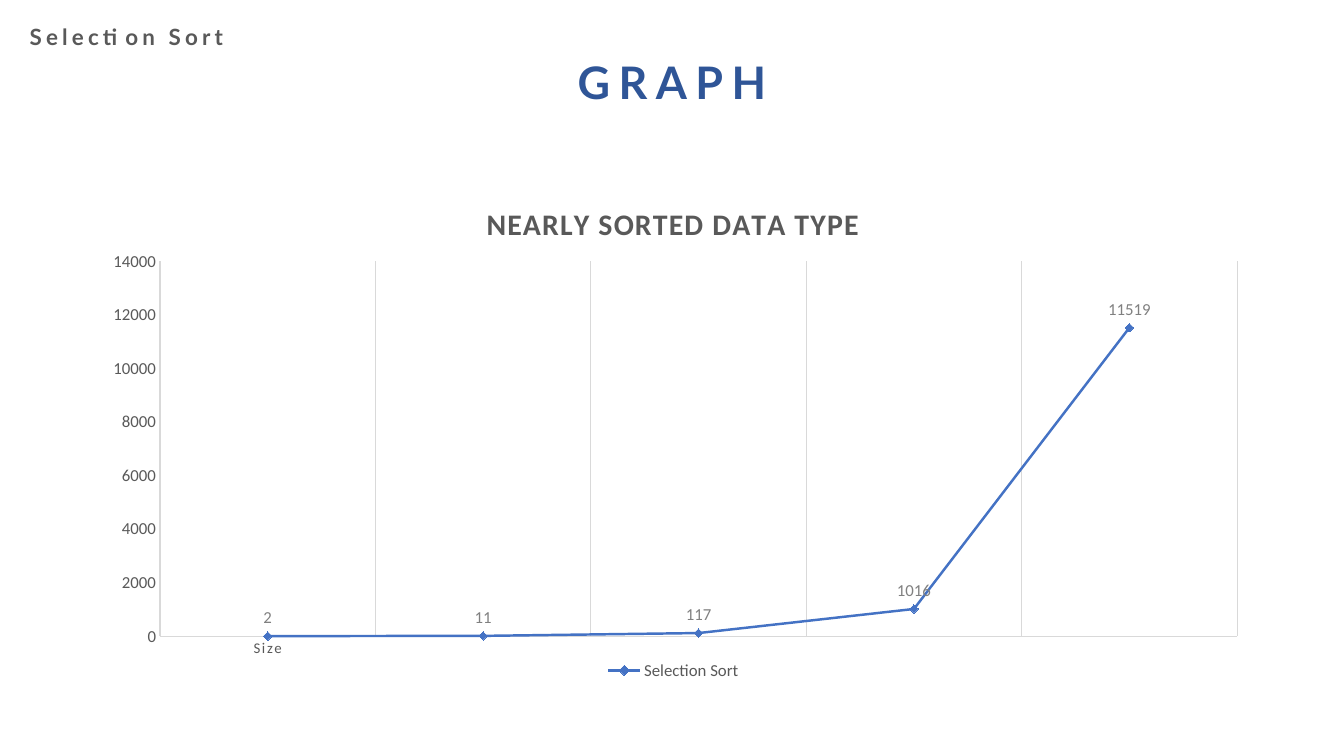
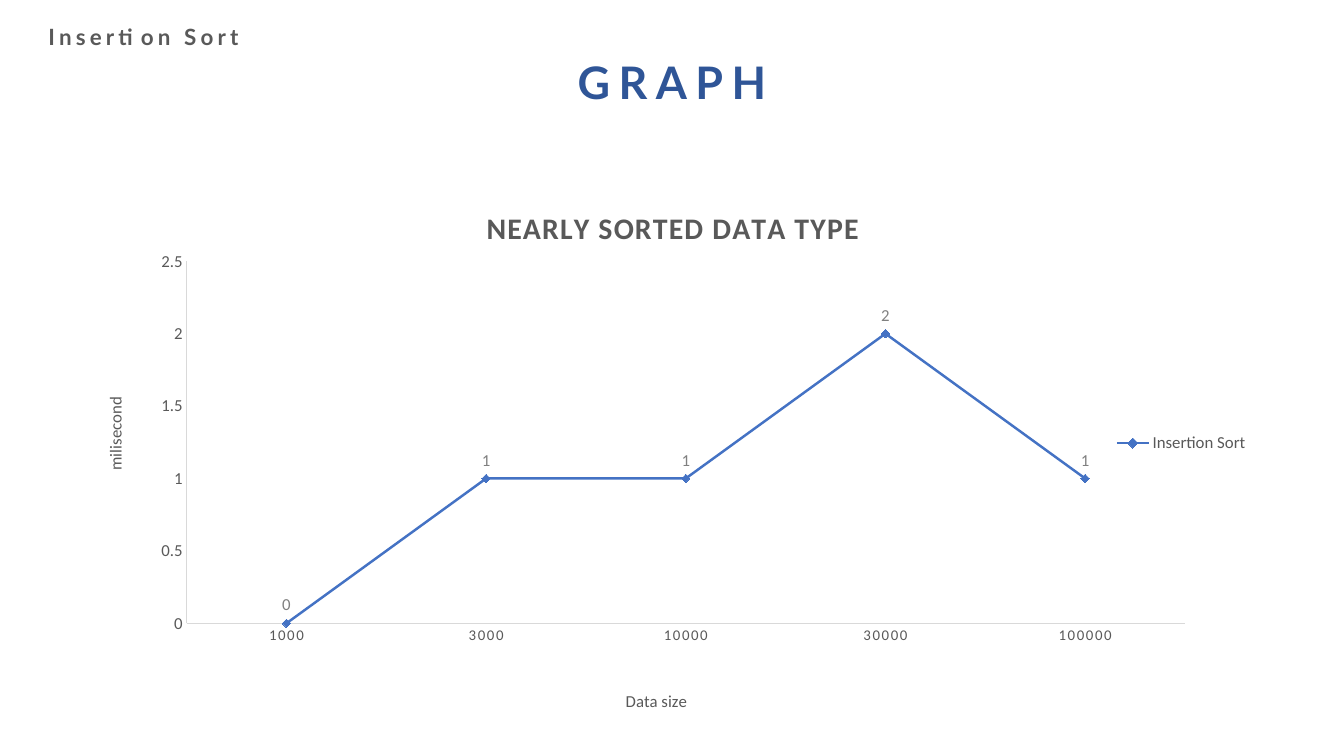
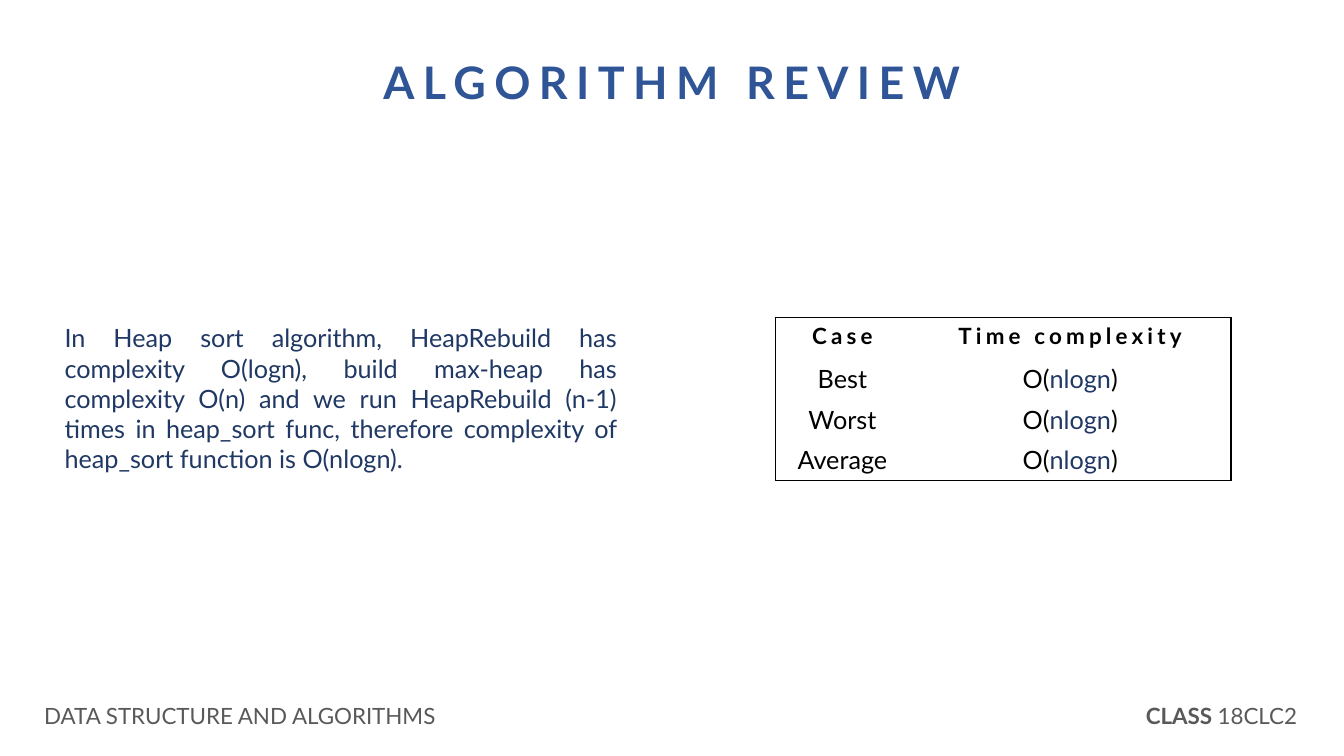
from lxml.etree import SubElement
from pptx import Presentation
from pptx.chart.data import CategoryChartData
from pptx.dml.color import RGBColor
from pptx.enum.chart import (XL_CHART_TYPE, XL_LABEL_POSITION, XL_LEGEND_POSITION,
                             XL_MARKER_STYLE, XL_TICK_MARK)
from pptx.enum.text import MSO_ANCHOR, MSO_AUTO_SIZE, PP_ALIGN
from pptx.oxml.ns import qn
from pptx.util import Inches, Pt

# Theme: colours, fonts and type sizes
THEME = dict(
    blue="2F5597", navy="203864", grey="595959", black="000000",
    mark="4472C4", rule="D9D9D9", label="808080",
    font="Lato", plain="Calibri",
    title=32, text=18, small=16, head=21.3, axis=12, tick=10.6)
WIDE, HIGH = 13.33, 7.5
PLAIN_TABLE = "{2D5ABB26-0587-4C30-8999-92F81FD0307C}"

# Content
GRAPHS = [
    dict(name="Selection Sort", left=0.16, cats=["Size", "", "", "", ""],
         vals=[2, 11, 117, 1016, 11519], top=14000, step=2000, high=5.11, grid=True,
         plot=(0.058, 0.163, 0.929, 0.728), head=(0.335, 0.04),
         side=XL_LEGEND_POSITION.BOTTOM, key=(0.44, 0.93), names=None),
    dict(name="Insertion Sort", left=0.33,
         cats=["1000", "3000", "10000", "30000", "100000"],
         vals=[0, 1, 1, 2, 1], top=2.5, step=0.5, high=5.37, grid=False,
         plot=(0.081, 0.155, 0.861, 0.669), head=(0.335, 0.045),
         side=XL_LEGEND_POSITION.RIGHT, key=(0.88, 0.465),
         names=[("Data size", (0.457, 0.94), 0), ("milisecond", (0.007, 0.4), -90)]),
]
REVIEW = ("In Heap sort algorithm, HeapRebuild has complexity O(logn), build max-heap "
          "has complexity O(n) and we run HeapRebuild (n-1) times in heap_sort func, "
          "therefore complexity of heap_sort function is O(nlogn).")
COST = ["O(", ("nlogn", dict(color="navy")), ")"]
ROWS = [["Case", "Time complexity"], ["Best", COST], ["Worst", COST], ["Average", COST]]
COLS = [1.33, 3.19]
FOOT = [((0, 4.76), ["DATA STRUCTURE AND ALGORITHMS"]),
        ((10.9, 2.43), [("CLASS ", dict(bold=True)), "18CLC2"])]


def tint(name):
    return RGBColor.from_string(THEME[name])


def style(font, size="small", color="grey", face="font", bold=False, gap=0):
    font.size, font.name, font.bold = Pt(THEME[size]), THEME[face], bold
    font.color.rgb = tint(color)
    if gap:
        font._rPr.set("spc", str(int(gap * 100)))


def write(frame, runs, align=PP_ALIGN.CENTER, after=0, **fmt):
    """Fill the first paragraph with runs: plain text or (text, changes)."""
    para = frame.paragraphs[0]
    para.alignment = align
    para.space_before, para.space_after = Pt(0), Pt(after)
    for part in [runs] if isinstance(runs, str) else runs:
        text, more = (part, {}) if isinstance(part, str) else part
        run = para.add_run()
        run.text = text
        style(run.font, **{**fmt, **more})
    return para


def move(shape, *box):
    shape.left, shape.top, shape.width, shape.height = map(Inches, box)
    frame = shape.text_frame
    frame.word_wrap, frame.auto_size = True, MSO_AUTO_SIZE.NONE
    frame.vertical_anchor = MSO_ANCHOR.TOP
    return frame


def box(slide, *place):
    return move(slide.shapes.add_textbox(0, 0, 0, 0), *place)


def start(deck, kind, title, wide):
    slide = deck.slides.add_slide(deck.slide_layouts.get_by_name(kind))
    frame = move(slide.shapes.title, (WIDE - wide) / 2, 0.49, wide, 0.64)
    write(frame, title, size="title", color="blue", bold=True, gap=6)
    return slide


# Charts
def place(part, spot, index=1):
    """Give a chart part a fixed position, as shares of the chart."""
    for old in part.findall(qn("c:layout")):
        part.remove(old)
    lay = SubElement(part, qn("c:layout"))
    part.insert(index, lay)
    hand = SubElement(lay, qn("c:manualLayout"))
    items = [("xMode", "edge"), ("yMode", "edge"), *zip("xywh", spot)]
    if len(spot) == 4:
        items.insert(0, ("layoutTarget", "inner"))
    for tag, val in items:
        SubElement(hand, qn("c:" + tag)).set("val", str(val))


def label(title, text, spot, turn=0, **fmt):
    frame = title.text_frame
    write(frame, text, face="plain", **fmt)
    frame._txBody.bodyPr.set("rot", str(turn * 60000))
    place(title._element, spot)


def line(form, color, width):
    form.line.color.rgb = tint(color)
    form.line.width = Pt(width)


def graph(slide, item):
    data = CategoryChartData()
    data.categories = item["cats"]
    data.add_series(item["name"], item["vals"])
    chart = slide.shapes.add_chart(
        XL_CHART_TYPE.LINE_MARKERS, Inches(0.92), Inches(1.76),
        Inches(11.5), Inches(item["high"]), data).chart
    style(chart.font, size="axis", face="plain")
    chart.has_title = True
    label(chart.chart_title, "NEARLY SORTED DATA TYPE", item["head"],
          size="head", bold=True, gap=1)

    chart.has_legend = True
    key = chart.legend
    key.position, key.include_in_layout = item["side"], False
    style(key.font, size="axis", face="plain")
    place(key._element, item["key"])
    place(chart._chartSpace.chart.plotArea, item["plot"], 0)

    # Axes
    cat, val = chart.category_axis, chart.value_axis
    for axis, size, gap in [(cat, "tick", 1.2), (val, "axis", 0)]:
        axis.major_tick_mark = axis.minor_tick_mark = XL_TICK_MARK.NONE
        axis.has_major_gridlines = False
        style(axis.tick_labels.font, size=size, face="plain", gap=gap)
        line(axis.format, "rule", 0.75)
    val.minimum_scale, val.maximum_scale, val.major_unit = 0, item["top"], item["step"]
    if item["grid"]:
        cat.has_major_gridlines = True
        line(cat.major_gridlines.format, "rule", 0.75)
    for axis, name in zip((cat, val), item["names"] or []):
        label(axis.axis_title, *name, size="axis")

    # Series
    plot = chart.plots[0]
    plot.vary_by_categories = False
    row = plot.series[0]
    row.smooth = False
    line(row.format, "mark", 1.75)
    row.marker.style, row.marker.size = XL_MARKER_STYLE.DIAMOND, 6
    row.marker.format.fill.solid()
    row.marker.format.fill.fore_color.rgb = tint("mark")
    line(row.marker.format, "mark", 0.75)
    tags = row.data_labels
    tags.show_value, tags.position = True, XL_LABEL_POSITION.ABOVE
    style(tags.font, size="axis", color="label", face="plain")


# Table
def edge(cell, side):
    rim = SubElement(cell._tc.get_or_add_tcPr(), qn("a:ln" + side), w=str(Pt(1)))
    fill = SubElement(rim, qn("a:solidFill"))
    SubElement(fill, qn("a:srgbClr"), val=THEME["black"])


def grid(slide):
    rows, cols = len(ROWS), len(COLS)
    table = slide.shapes.add_table(rows, cols, Inches(7.69), Inches(3.15),
                                   Inches(sum(COLS)), Inches(1.62)).table
    table._tbl.tblPr.find(qn("a:tableStyleId")).text = PLAIN_TABLE
    table.first_row = table.horz_banding = False
    for col, wide in zip(table.columns, COLS):
        col.width = Inches(wide)
    for r, row in enumerate(ROWS):
        head = dict(bold=True, gap=3) if r == 0 else dict(size="text")
        for c, text in enumerate(row):
            cell = table.cell(r, c)
            write(cell.text_frame, text, color="black", **head)
            rims = dict(L=c == 0, R=c == cols - 1, T=r == 0, B=r == rows - 1)
            for side, outer in rims.items():
                if outer:
                    edge(cell, side)
            cell.fill.background()


def main():
    deck = Presentation()
    deck.slide_width, deck.slide_height = Inches(WIDE), Inches(HIGH)

    # Graph slides
    for item in GRAPHS:
        slide = start(deck, "Title Only", "GRAPH", 2.66)
        graph(slide, item)
        write(box(slide, item["left"], 0.18, 2.19, 0.37), item["name"],
              after=6, bold=True, gap=3)

    # Review slide
    slide = start(deck, "Title and Content", "ALGORITHM REVIEW", 6.89)
    frame = move(slide.placeholders[1], 0.54, 3.15, 5.68, 1.92)
    para = write(frame, REVIEW, align=PP_ALIGN.JUSTIFY, size="text", color="navy")
    props = para._p.get_or_add_pPr()
    props.set("marL", "0")
    props.set("indent", "0")
    SubElement(props, qn("a:buNone"))
    grid(slide)
    for (left, wide), runs in FOOT:
        write(box(slide, left, 6.92, wide, 0.37), runs)

    deck.save("out.pptx")


if __name__ == "__main__":
    main()
